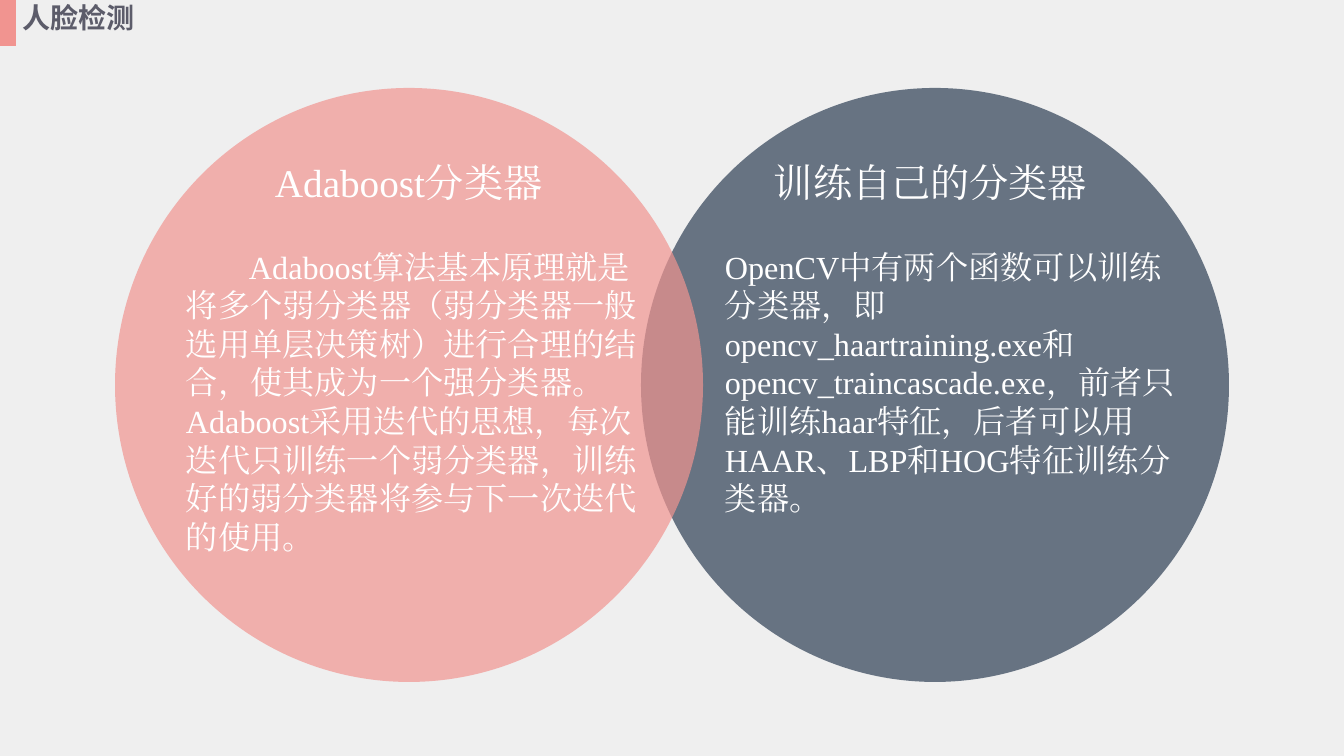
from dataclasses import dataclass

from lxml.etree import SubElement
from pptx import Presentation
from pptx.dml.color import RGBColor
from pptx.enum.shapes import MSO_SHAPE
from pptx.enum.text import MSO_ANCHOR, PP_ALIGN
from pptx.oxml.ns import qn
from pptx.util import Pt

TITLE = "人脸检测"
# Heading, text, first-line indent in px
TOPICS = [
    ("Adaboost分类器",
     "Adaboost算法基本原理就是将多个弱分类器（弱分类器一般选用单层决策树）进行合理的结合，"
     "使其成为一个强分类器。Adaboost采用迭代的思想，每次迭代只训练一个弱分类器，"
     "训练好的弱分类器将参与下一次迭代的使用。", 63),
    ("训练自己的分类器",
     "OpenCV中有两个函数可以训练分类器，即opencv_haartraining.exe和opencv_traincascade.exe，"
     "前者只能训练haar特征，后者可以用HAAR、LBP和HOG特征训练分类器。", 0),
]
# Left and width in px of each topic's heading and text
COLUMNS = [((265, 288), (176, 479)), ((764, 334), (715, 476))]
HEADING_TOP, HEADING_HEIGHT = 153, 57
TEXT_TOP, TEXT_HEIGHT = 242, 323

SLIDE_W, SLIDE_H = 1344, 756
CIRCLE_W, CIRCLE_H, CIRCLE_TOP, OVERLAP = 588, 594, 88, 62


@dataclass(frozen=True)
class Theme:
    background: str = "EFEFEF"
    pink: str = "F19490"
    navy: str = "2E3F55"
    title: str = "5C5C6A"
    white: str = "FFFFFF"
    title_font: str = "Noto Sans CJK SC"
    body_font: str = "Times New Roman"
    title_size: int = 20
    heading_size: int = 28
    text_size: int = 23


THEME = Theme()


def px(n):
    return round(n * 914400 / 100.8)


def paint(fill, color, opacity=100):
    fill.solid()
    fill.fore_color.rgb = RGBColor.from_string(color)
    if opacity < 100:
        clr = fill._xPr.find(qn("a:solidFill"))[0]
        SubElement(clr, qn("a:alpha"), val=str(opacity * 1000))


def add_block(slide, preset, box, color, opacity=100):
    s = slide.shapes.add_shape(preset, *map(px, box))
    s.shadow.inherit = False
    s.line.fill.background()
    paint(s.fill, color, opacity)


def write(s, text, *, size, color=THEME.white, font=THEME.body_font, bold=False, indent=0):
    tf = s.text_frame
    tf.word_wrap = True
    tf.vertical_anchor = MSO_ANCHOR.TOP
    p = tf.paragraphs[0]
    p.alignment = PP_ALIGN.LEFT
    if indent:
        p._p.get_or_add_pPr().set("indent", str(px(indent)))
    r = p.add_run()
    r.text = text
    r.font.size, r.font.bold, r.font.name = Pt(size), bold, font
    r.font.color.rgb = RGBColor.from_string(color)
    SubElement(r._r.get_or_add_rPr(), qn("a:ea"), typeface=font)


def add_text(slide, box, text, **fmt):
    write(slide.shapes.add_textbox(*map(px, box)), text, **fmt)


def main():
    prs = Presentation()
    prs.slide_width, prs.slide_height = px(SLIDE_W), px(SLIDE_H)
    slide = prs.slides.add_slide(prs.slide_layouts[5])
    paint(slide.background.fill, THEME.background)

    title = slide.shapes.title
    title.left, title.top, title.width, title.height = map(px, (12, 0, 292, 44))
    title.text_frame.margin_top = 0
    write(title, TITLE, size=THEME.title_size, color=THEME.title,
          font=THEME.title_font, bold=True)
    add_block(slide, MSO_SHAPE.RECTANGLE, (0, 0, 16, 46), THEME.pink)

    left = (SLIDE_W - 2 * CIRCLE_W + OVERLAP) // 2
    right = left + CIRCLE_W - OVERLAP
    for x, color in ((right, THEME.navy), (left, THEME.pink)):
        add_block(slide, MSO_SHAPE.OVAL, (x, CIRCLE_TOP, CIRCLE_W, CIRCLE_H), color, 70)

    for (heading, text, indent), ((hx, hw), (tx, tw)) in zip(TOPICS, COLUMNS):
        add_text(slide, (hx, HEADING_TOP, hw, HEADING_HEIGHT), heading, size=THEME.heading_size)
        add_text(slide, (tx, TEXT_TOP, tw, TEXT_HEIGHT), text,
                 size=THEME.text_size, indent=indent)

    prs.save("out.pptx")


if __name__ == "__main__":
    main()
